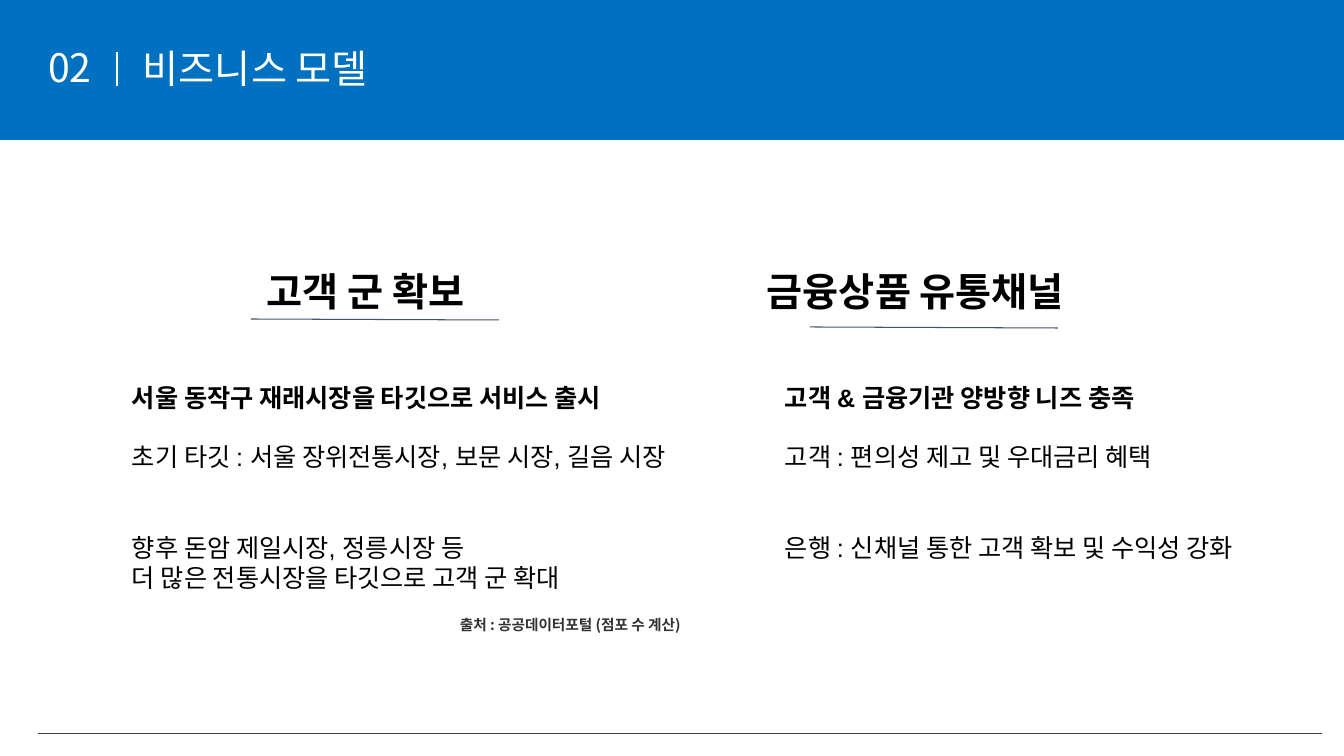
from lxml.etree import SubElement
from pptx import Presentation
from pptx.dml.color import RGBColor
from pptx.enum.shapes import MSO_CONNECTOR as Connector, MSO_SHAPE as Shape
from pptx.enum.text import MSO_ANCHOR as Anchor, MSO_AUTO_SIZE as AutoSize, PP_ALIGN as Align
from pptx.oxml.ns import qn
from pptx.util import Pt

BLUE = RGBColor(0x00, 0x70, 0xC0)
WHITE = RGBColor(0xFF, 0xFF, 0xFF)
BLACK = RGBColor(0x00, 0x00, 0x00)
SLATE = RGBColor(0x44, 0x54, 0x6A)
GREY = RGBColor(0x3F, 0x3F, 0x3F)
DARK = RGBColor(0x33, 0x33, 0x33)
KOREAN, LATIN = "Noto Sans CJK KR", "Arial"

# Content: paragraphs are (text, bold, points before)
NUMBER, TITLE = "02", "비즈니스 모델"
SOURCE = "출처 : 공공데이터포털 (점포 수 계산)"
COLUMNS = [
    {
        "heading": "고객 군 확보", "heading_box": (257, 262, 269, 57),
        "rule": (251, 319, 499, 320),
        "body_box": (122, 372, 623, 191),
        "body": [
            ("서울 동작구 재래시장을 타깃으로 서비스 출시", True, 0),
            ("초기 타깃 : 서울 장위전통시장, 보문 시장, 길음 시장", False, 21),
            ("향후 돈암 제일시장, 정릉시장 등", False, 43),
            ("더 많은 전통시장을 타깃으로 고객 군 확대", False, 0),
        ],
    },
    {
        "heading": "금융상품 유통채널", "heading_box": (757, 262, 393, 57),
        "rule": (810, 327, 1058, 328),
        "body_box": (775, 372, 569, 141),
        "body": [
            ("고객 & 금융기관 양방향 니즈 충족", True, 0),
            ("고객 : 편의성 제고 및 우대금리 혜택", False, 21),
            ("은행 : 신채널 통한 고객 확보 및 수익성 강화", False, 43),
        ],
    },
]

# Formats
HEADER = {"name": KOREAN, "size": Pt(28), "bold": False}
HEADING = {"name": LATIN, "size": Pt(28), "bold": True}
BODY = {"name": LATIN, "size": Pt(18)}
CREDIT = {"name": KOREAN, "size": Pt(10.5), "bold": True}


def px(length):
    return round(length * 914400 / 100.8)


def place(shape, box):
    for side, length in zip(("left", "top", "width", "height"), box):
        setattr(shape, side, px(length))


def write(shape, paragraphs, formats, color, inset=5, anchor=Anchor.TOP, spacing=1.0):
    frame = shape.text_frame
    settings = {
        "word_wrap": True, "auto_size": AutoSize.NONE, "vertical_anchor": anchor,
        "margin_left": px(10), "margin_right": px(10),
        "margin_top": px(inset), "margin_bottom": px(inset),
    }
    for key, value in settings.items():
        setattr(frame, key, value)
    for index, (text, bold, before) in enumerate(paragraphs):
        para = frame.add_paragraph() if index else frame.paragraphs[0]
        para.alignment = Align.LEFT
        para.line_spacing = spacing
        para.space_before = Pt(before)
        span = para.add_run()
        span.text = text
        for key, value in {"bold": bold, **formats}.items():
            setattr(span.font, key, value)
        span.font.color.rgb = color


def add_rectangle(page, box, color):
    shape = page.shapes.add_shape(Shape.RECTANGLE, *map(px, box))
    shape.shadow.inherit = False
    shape.fill.solid()
    shape.fill.fore_color.rgb = color
    shape.line.fill.background()
    return shape


def add_line(page, ends, color, width):
    line = page.shapes.add_connector(Connector.STRAIGHT, *map(px, ends))
    line.line.color.rgb = color
    line.line.width = Pt(width)
    SubElement(line.element.spPr, qn("a:effectLst"))


def main():
    deck = Presentation()
    deck.slide_width, deck.slide_height = px(1344), px(756)
    page = deck.slides.add_slide(deck.slide_layouts.get_by_name("Section Header"))
    title, number = page.placeholders

    # Header band and page lines
    add_line(page, (38, 734, 1322, 734), GREY, 0.75)
    add_rectangle(page, (0, 0, 1344, 140), BLUE)
    add_line(page, (117, 52, 117, 86), WHITE, 1)

    # Section number and title, raised above the band
    for holder, text, box, anchor in (
        (number, NUMBER, (38, 44, 95, 52), Anchor.TOP),
        (title, TITLE, (133, 44, 750, 53), Anchor.MIDDLE),
    ):
        place(holder, box)
        write(holder, [(text, False, 0)], HEADER, WHITE, anchor=anchor, spacing=0.9)
        holder.element.getparent().append(holder.element)

    # Two columns
    for column in COLUMNS:
        heading = add_rectangle(page, column["heading_box"], WHITE)
        write(heading, [(column["heading"], True, 0)], HEADING, BLACK)
        body = page.shapes.add_textbox(*map(px, column["body_box"]))
        write(body, column["body"], BODY, BLACK, inset=10)
        add_line(page, column["rule"], SLATE, 0.75)

    # Data source
    credit = page.shapes.add_textbox(*map(px, (450, 606, 331, 40)))
    write(credit, [(SOURCE, True, 0)], CREDIT, DARK, inset=10)

    deck.save("out.pptx")


if __name__ == "__main__":
    main()
